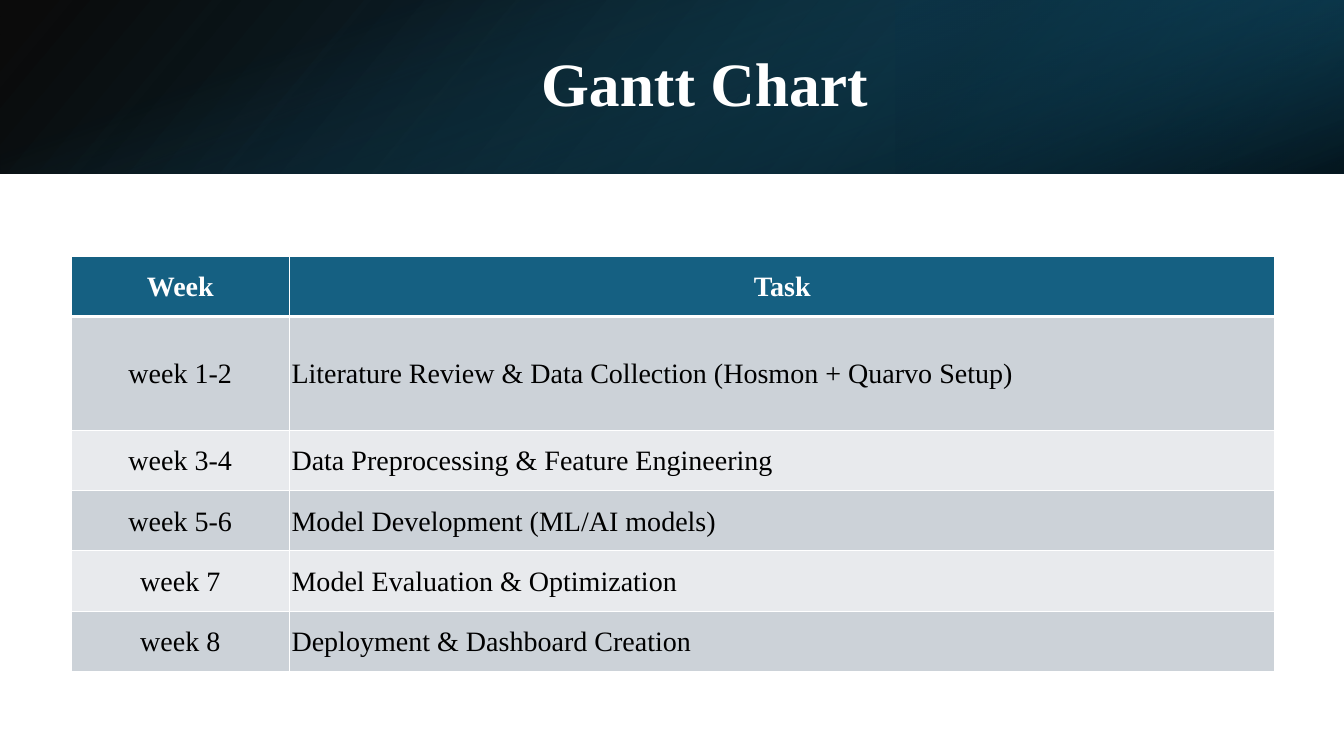
from lxml import etree
from pptx import Presentation
from pptx.dml.color import RGBColor
from pptx.enum import shapes, text
from pptx.oxml import ns
from pptx.util import Pt

HUES = {"white": "FFFFFF", "black": "000000", "teal": "156082", "deep": "104862",
        "night": "0B3041", "odd": "CCD2D8", "even": "E8EAED"}
LEFT, MID = text.PP_ALIGN.LEFT, text.PP_ALIGN.CENTER


def add(parent, tag, **attrs):
    values = {key: str(val) for key, val in attrs.items()}
    return etree.SubElement(parent, ns.qn(tag), values)


class Deck:
    def __init__(self, font):
        self.font = font
        self.show = Presentation()
        self.show.slide_width, self.show.slide_height = Pt(960), Pt(540)
        self.slide = self.show.slides.add_slide(self.show.slide_layouts[6])

    def label(self, frame, words, size, hue, bold, align, spacing=None):
        para = frame.paragraphs[0]
        para.alignment = align
        para.line_spacing = spacing
        run = para.add_run()
        run.text = words
        look = {"name": self.font, "size": Pt(size), "bold": bold}
        for key, val in look.items():
            setattr(run.font, key, val)
        run.font.color.rgb = RGBColor.from_string(HUES[hue])

    def band(self, box, stops, angle, turn=0, flip=False):
        shape = self.slide.shapes.add_shape(
            shapes.MSO_SHAPE.RECTANGLE, *map(Pt, box))
        shape.shadow.inherit = False
        shape.line.fill.background()
        shape.rotation = turn
        props = shape.element.spPr
        if flip:
            props.xfrm.set("flipH", "1")
        grad = etree.Element(ns.qn("a:gradFill"), rotWithShape="1")
        group = add(grad, "a:gsLst")
        for place, hue, alpha in stops:
            stop = add(group, "a:gs", pos=place * 1000)
            color = add(stop, "a:srgbClr", val=HUES[hue])
            add(color, "a:alpha", val=alpha * 1000)
        add(grad, "a:lin", ang=angle * 60000, scaled=0)
        props.find(ns.qn("a:prstGeom")).addnext(grad)

    def title(self, box, words):
        frame = self.slide.shapes.add_textbox(*map(Pt, box)).text_frame
        frame.word_wrap = True
        frame.vertical_anchor = text.MSO_ANCHOR.MIDDLE
        self.label(frame, words, 44, "white", True, MID, 0.9)

    def edge(self, cell, widths):
        props = cell._tc.get_or_add_tcPr()
        for spot, (side, width) in enumerate(widths.items()):
            line = etree.Element(ns.qn(f"a:ln{side}"), w=str(Pt(width)))
            fill = add(line, "a:solidFill")
            add(fill, "a:srgbClr", val=HUES["white"])
            props.insert(spot, line)

    def cell(self, cell, words, row, col):
        head = row == 0
        look = {"vertical_anchor": text.MSO_ANCHOR.MIDDLE,
                "margin_left": Pt(1.5), "margin_right": Pt(1.5),
                "margin_top": Pt(1.5), "margin_bottom": 0}
        for key, val in look.items():
            setattr(cell, key, val)
        hue = "teal" if head else "odd" if row % 2 else "even"
        cell.fill.solid()
        cell.fill.fore_color.rgb = RGBColor.from_string(HUES[hue])
        self.edge(cell, {"L": 1, "R": 1, "T": 3 if row == 1 else 1,
                         "B": 3 if head else 1})
        self.label(cell.text_frame, words, 20, "white" if head else "black",
                   head, MID if head or col == 0 else LEFT)

    def table(self, left, top, widths, heights, rows):
        table = self.slide.shapes.add_table(
            len(heights), len(widths), Pt(left), Pt(top),
            Pt(sum(widths)), Pt(sum(heights))).table
        for col, width in zip(table.columns, widths):
            col.width = Pt(width)
        for row, height in zip(table.rows, heights):
            row.height = Pt(height)
        for r, row in enumerate(rows):
            for c, words in enumerate(row):
                self.cell(table.cell(r, c), words, r, c)


def main():
    deck = Deck("Times New Roman")

    # Header band: layered gradients, the last one turned on its side
    wide, high = 960, 124
    deck.band((0, 0, wide, high), [(0, "black", 96), (100, "deep", 100)],
              140, flip=True)
    deck.band((640, 0, 320, high), [(19, "night", 68), (100, "teal", 79)],
              320, turn=180, flip=True)
    shift = (wide - high) / 2
    deck.band((shift, -shift, high, wide), [(23, "teal", 0), (99, "black", 74)],
              340, turn=90)
    deck.title((108, 27.4, 790.6, 69), "Gantt Chart")

    # Schedule
    plan = [
        ("Week", "Task"),
        ("week 1-2", "Literature Review & Data Collection (Hosmon + Quarvo Setup)"),
        ("week 3-4", "Data Preprocessing & Feature Engineering"),
        ("week 5-6", "Model Development (ML/AI models)"),
        ("week 7", "Model Evaluation & Optimization"),
        ("week 8", "Deployment & Dashboard Creation"),
    ]
    row = 43.1
    deck.table(50.8, 183, (156, 704), [row, 81.2] + [row] * 4, plan)

    deck.show.save("out.pptx")


if __name__ == "__main__":
    main()
